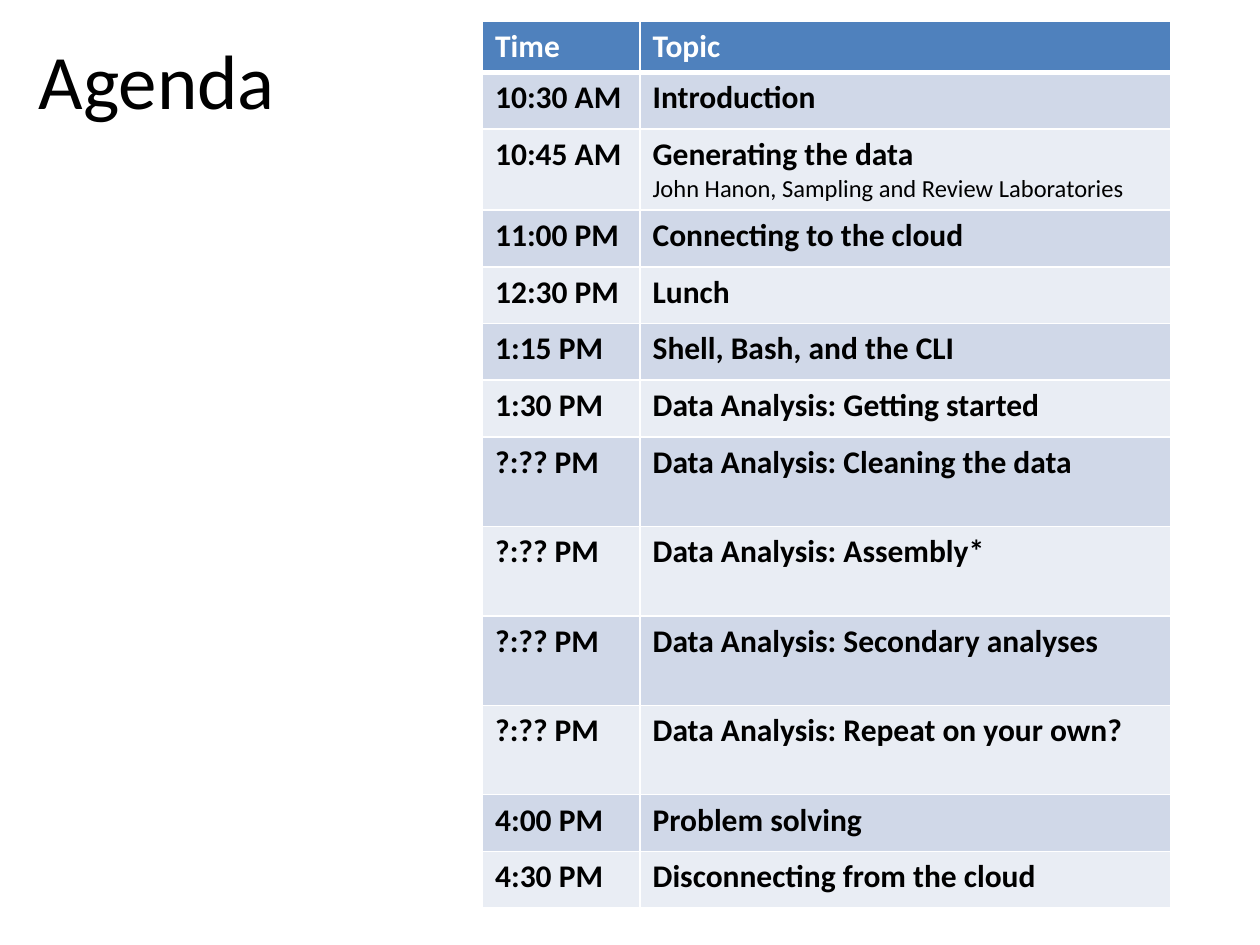
"""Build an agenda slide with a title and a banded timetable."""
from dataclasses import dataclass

from lxml.etree import SubElement
from pptx import Presentation
from pptx.dml.color import RGBColor
from pptx.enum.text import MSO_ANCHOR, PP_ALIGN
from pptx.oxml.ns import qn
from pptx.util import Inches, Pt


@dataclass(frozen=True)
class Theme:
    font: str = "Calibri"
    black: str = "000000"
    white: str = "FFFFFF"
    header: str = "4F81BD"
    bands: tuple[str, str] = ("D0D8E8", "E9EDF4")
    title_size: int = 44
    body_size: int = 18
    note_size: int = 14
    thin: int = 1
    thick: int = 3


@dataclass(frozen=True)
class Session:
    time: str
    topic: str
    note: str = ""
    height: float = 0.45


THEME = Theme()
TALL = 0.71
COLUMNS = (1.25, 4.21)
AGENDA = (
    Session("Time", "Topic", height=0.39),
    Session("10:30 AM", "Introduction"),
    Session("10:45 AM", "Generating the data",
            "John Hanon, Sampling and Review Laboratories", 0.64),
    Session("11:00 PM", "Connecting to the cloud"),
    Session("12:30 PM", "Lunch"),
    Session("1:15 PM", "Shell, Bash, and the CLI"),
    Session("1:30 PM", "Data Analysis: Getting started"),
    Session("?:?? PM", "Data Analysis: Cleaning the data", height=TALL),
    Session("?:?? PM", "Data Analysis: Assembly*", height=TALL),
    Session("?:?? PM", "Data Analysis: Secondary analyses", height=TALL),
    Session("?:?? PM", "Data Analysis: Repeat on your own?", height=TALL),
    Session("4:00 PM", "Problem solving"),
    Session("4:30 PM", "Disconnecting from the cloud"),
)


def add_text(p, text: str, size: int, color: str, bold: bool = False) -> None:
    r = p.add_run()
    r.text = text
    for name, value in {"name": THEME.font, "size": Pt(size), "bold": bold}.items():
        setattr(r.font, name, value)
    r.font.color.rgb = RGBColor.from_string(color)


def add_borders(cell, top: int, bottom: int) -> None:
    tc_pr = cell._tc.get_or_add_tcPr()
    widths = {"lnL": THEME.thin, "lnR": THEME.thin, "lnT": top, "lnB": bottom}
    for tag, width in widths.items():
        ln = SubElement(tc_pr, qn(f"a:{tag}"), w=str(Pt(width)))
        fill = SubElement(ln, qn("a:solidFill"))
        SubElement(fill, qn("a:srgbClr"), val=THEME.white)


def fill_row(table, i: int, session: Session) -> None:
    table.rows[i].height = Inches(session.height)
    color = THEME.black if i else THEME.white
    band = THEME.bands[(i - 1) % 2] if i else THEME.header
    top = THEME.thick if i == 1 else THEME.thin
    bottom = THEME.thin if i else THEME.thick
    for j, text in enumerate((session.time, session.topic)):
        cell = table.cell(i, j)
        add_borders(cell, top, bottom)
        cell.fill.solid()
        cell.fill.fore_color.rgb = RGBColor.from_string(band)
        add_text(cell.text_frame.paragraphs[0], text, THEME.body_size, color, True)
    if session.note:
        p = table.cell(i, 1).text_frame.add_paragraph()
        add_text(p, session.note, THEME.note_size, color)


def add_title(s, text: str) -> None:
    sp = s.shapes.title
    box = {"left": -0.01, "top": 0, "width": 2.51, "height": 1.25}
    for name, value in box.items():
        setattr(sp, name, Inches(value))
    tf = sp.text_frame
    tf.vertical_anchor = MSO_ANCHOR.MIDDLE
    p = tf.paragraphs[0]
    p.alignment = PP_ALIGN.CENTER
    add_text(p, text, THEME.title_size, THEME.black)


def add_agenda(s) -> None:
    height = sum(session.height for session in AGENDA)
    table = s.shapes.add_table(
        len(AGENDA), len(COLUMNS), Inches(3.83), Inches(0.17),
        Inches(sum(COLUMNS)), Inches(height)).table
    for column, width in zip(table.columns, COLUMNS):
        column.width = Inches(width)
    for i, session in enumerate(AGENDA):
        fill_row(table, i, session)


def main() -> None:
    prs = Presentation()
    prs.slide_width, prs.slide_height = Inches(10), Inches(7.5)
    s = prs.slides.add_slide(prs.slide_layouts[5])
    add_title(s, "Agenda")
    add_agenda(s)
    prs.save("out.pptx")


main()
